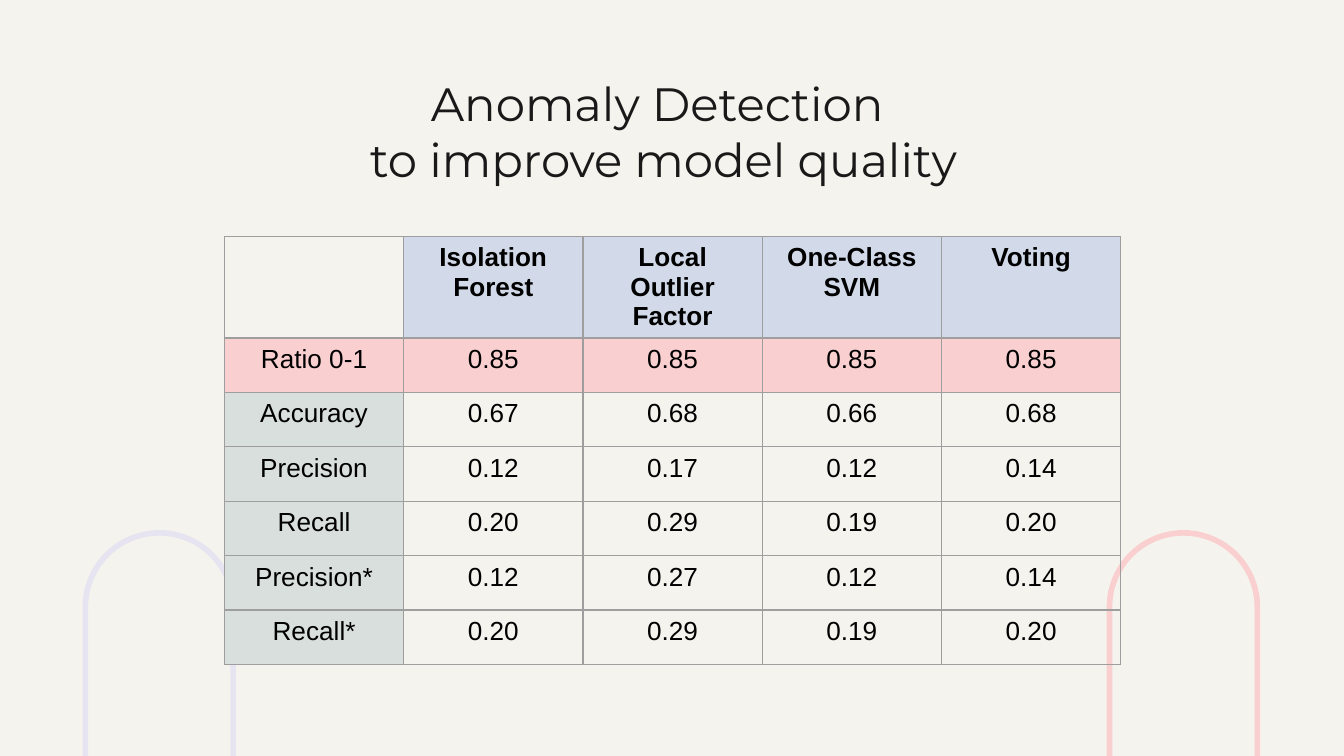
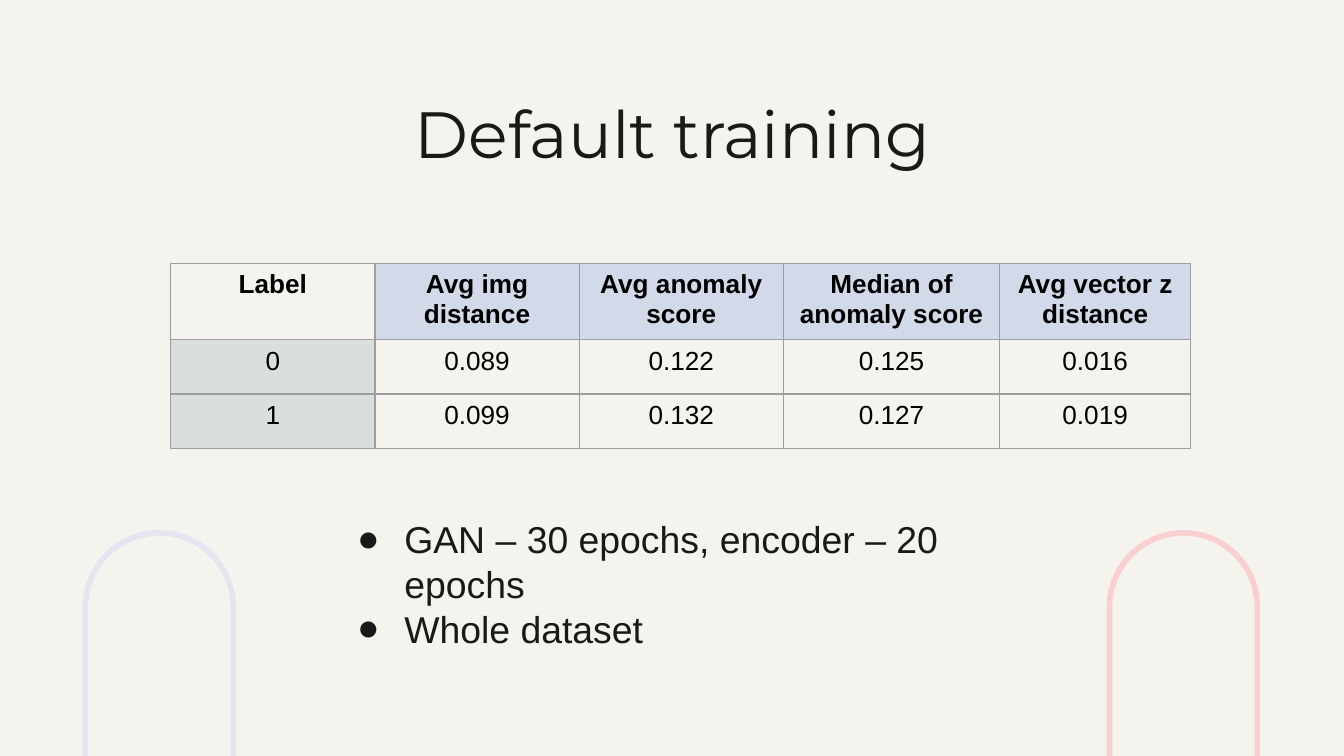
"""Build two slides of anomaly detection results."""
from dataclasses import dataclass

from lxml import etree
from pptx import Presentation
from pptx.dml.color import RGBColor
from pptx.enum import shapes, text
from pptx.oxml import ns
from pptx.util import Inches, Pt


@dataclass(frozen=True)
class Theme:
    back: str = "F5F3ED"
    ink: str = "191919"
    black: str = "000000"
    grid: str = "9E9E9E"
    lilac: str = "E7E4F1"
    pink: str = "F9CFD0"
    blue: str = "D2DAE9"
    sage: str = "D9DFDD"
    head: str = "Montserrat"
    body: str = "Arial"
    cell: int = 14
    list: int = 20


T = Theme()
WIDE = Inches(10)
HIGH = WIDE * 9 // 16
ARCHES = [(-0.21, T.lilac), (7.41, T.pink)]
ROW = Inches(0.81) // 2

SLIDES = [
    {
        "title": "Anomaly Detection \vto improve model quality",
        "box": (1.36, 0.46, 7.15, 0.63),
        "size": 25,
        "at": (1.67, 1.76),
        "cols": [6.67 / 5] * 5,
        "marked": "Ratio 0-1",
        "rows": [
            ("", "Isolation Forest", "Local Outlier Factor", "One-Class SVM", "Voting"),
            ("Ratio 0-1", "0.85", "0.85", "0.85", "0.85"),
            ("Accuracy", "0.67", "0.68", "0.66", "0.68"),
            ("Precision", "0.12", "0.17", "0.12", "0.14"),
            ("Recall", "0.20", "0.29", "0.19", "0.20"),
            ("Precision*", "0.12", "0.27", "0.12", "0.14"),
            ("Recall*", "0.20", "0.29", "0.19", "0.20"),
        ],
    },
    {
        "title": "Default training",
        "box": (0.79, 0.59, 8.43, 0.63),
        "size": 35,
        "at": (1.27, 1.96),
        "cols": [1.52, 1.52, 1.52, 1.61, 1.42],
        "rows": [
            ("Label", "Avg img distance", "Avg anomaly score",
             "Median of anomaly score", "Avg vector z distance"),
            ("0", "0.089", "0.122", "0.125", "0.016"),
            ("1", "0.099", "0.132", "0.127", "0.019"),
        ],
        "list": ["GAN – 30 epochs, encoder – 20 epochs", "Whole dataset"],
        "list_box": (2.41, 3.74, 5.17, 1.12),
    },
]


def rgb(code):
    return RGBColor.from_string(code)


def node(up, tag, **attrs):
    return etree.SubElement(up, ns.qn(tag), {k: str(v) for k, v in attrs.items()})


def write(frame, lines, *, size, font=T.body, color=T.ink, bold=False,
          center=False, bullet=None):
    for n, line in enumerate(lines):
        para = frame.add_paragraph() if n else frame.paragraphs[0]
        para.text = line
        para.alignment = text.PP_ALIGN.CENTER if center else text.PP_ALIGN.LEFT
        for run in para.runs:
            run.font.size, run.font.name, run.font.bold = Pt(size), font, bold
            run.font.color.rgb = rgb(color)
        if bullet:
            props = para._p.get_or_add_pPr()
            props.set("marL", str(Inches(0.5)))
            props.set("indent", str(-Inches(0.35)))
            tint = node(props, "a:buClr")
            node(tint, "a:srgbClr", val=color)
            node(props, "a:buFont", typeface=font)
            node(props, "a:buChar", char=bullet)


def add_box(slide, box, lines, **kind):
    frame = slide.shapes.add_textbox(*map(Inches, box)).text_frame
    frame.word_wrap = True
    frame.margin_left = frame.margin_right = Inches(0.1)
    frame.margin_top = frame.margin_bottom = Inches(0.1)
    write(frame, lines, **kind)


def add_arch(slide, left, color):
    arch = slide.shapes.add_shape(
        shapes.MSO_SHAPE.ROUNDED_RECTANGLE,
        *map(Inches, (left, 4.81, 2.79, 1.1)))
    arch.adjustments[0] = 0.5
    arch.rotation = 90
    arch.shadow.inherit = False
    arch.fill.background()
    arch.line.color.rgb = rgb(color)
    arch.line.width = Pt(3)


def edge(cell):
    props = cell._tc.get_or_add_tcPr()
    for n, side in enumerate("LRTB"):
        line = etree.Element(ns.qn(f"a:ln{side}"), w=str(Pt(0.75)))
        fill = node(line, "a:solidFill")
        node(fill, "a:srgbClr", val=T.grid)
        props.insert(n, line)


def shade(row, col, label, marked):
    if row == 0:
        return T.blue if col else None
    if label == marked:
        return T.pink
    return None if col else T.sage


def add_grid(slide, data):
    rows, cols = data["rows"], data["cols"]
    grid = slide.shapes.add_table(
        len(rows), len(cols), *map(Inches, data["at"]),
        Inches(sum(cols)), ROW * len(rows)).table
    grid.first_row = grid.horz_banding = False
    for col, width in zip(grid.columns, cols):
        col.width = Inches(width)
    for r, row in enumerate(rows):
        grid.rows[r].height = ROW
        for c, word in enumerate(row):
            cell = grid.cell(r, c)
            color = shade(r, c, row[0], data.get("marked"))
            if color:
                cell.fill.solid()
                cell.fill.fore_color.rgb = rgb(color)
            else:
                cell.fill.background()
            edge(cell)
            write(cell.text_frame, [word], size=T.cell, color=T.black,
                  bold=r == 0, center=True)


def build(deck, data):
    slide = deck.slides.add_slide(deck.slide_layouts[6])
    slide.background.fill.solid()
    slide.background.fill.fore_color.rgb = rgb(T.back)
    for left, color in ARCHES:
        add_arch(slide, left, color)
    add_grid(slide, data)
    add_box(slide, data["box"], [data["title"]], size=data["size"],
            font=T.head, center=True)
    if "list" in data:
        add_box(slide, data["list_box"], data["list"], size=T.list, bullet="●")


def main():
    deck = Presentation()
    deck.slide_width, deck.slide_height = WIDE, HIGH
    for data in SLIDES:
        build(deck, data)
    deck.save("out.pptx")


if __name__ == "__main__":
    main()
